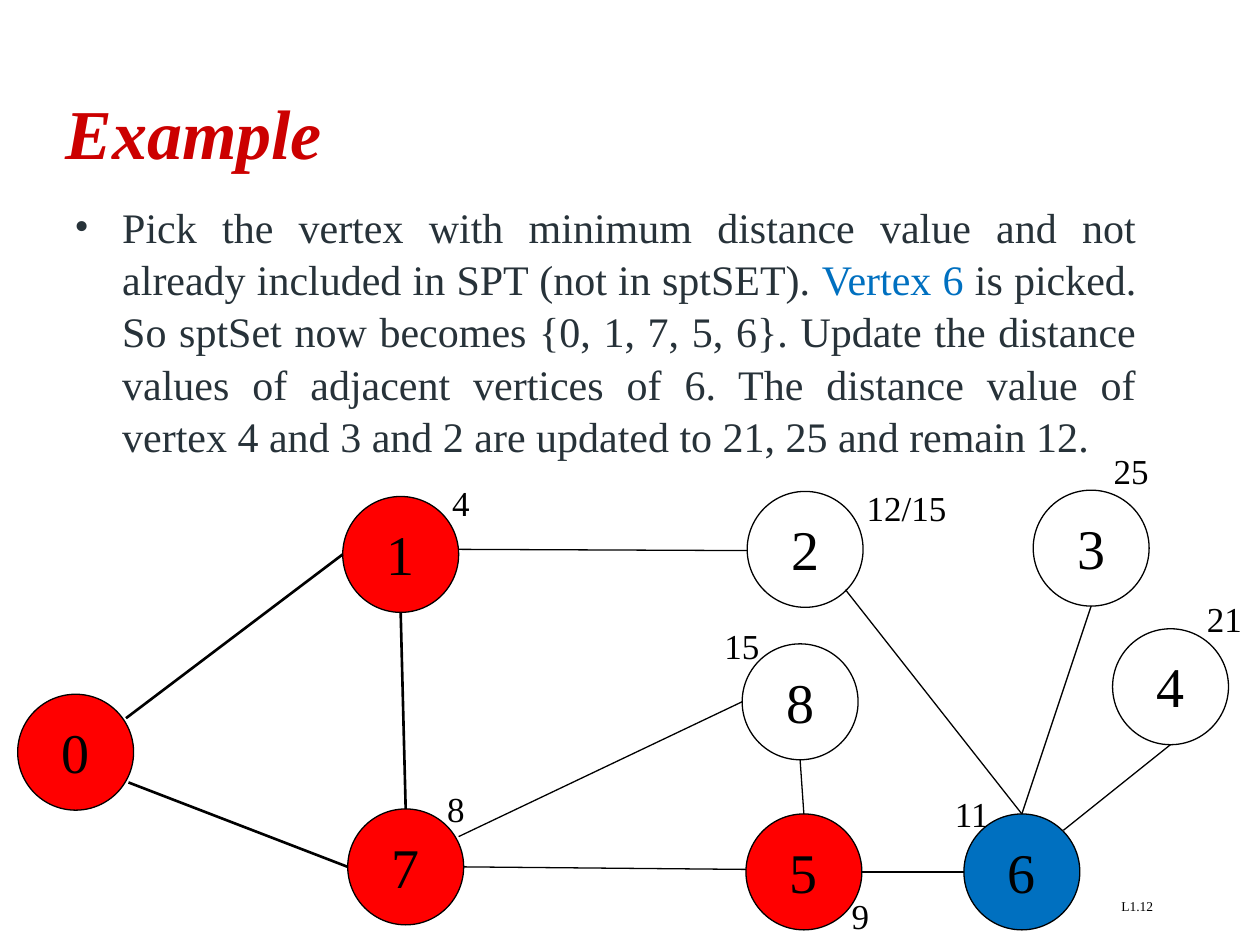
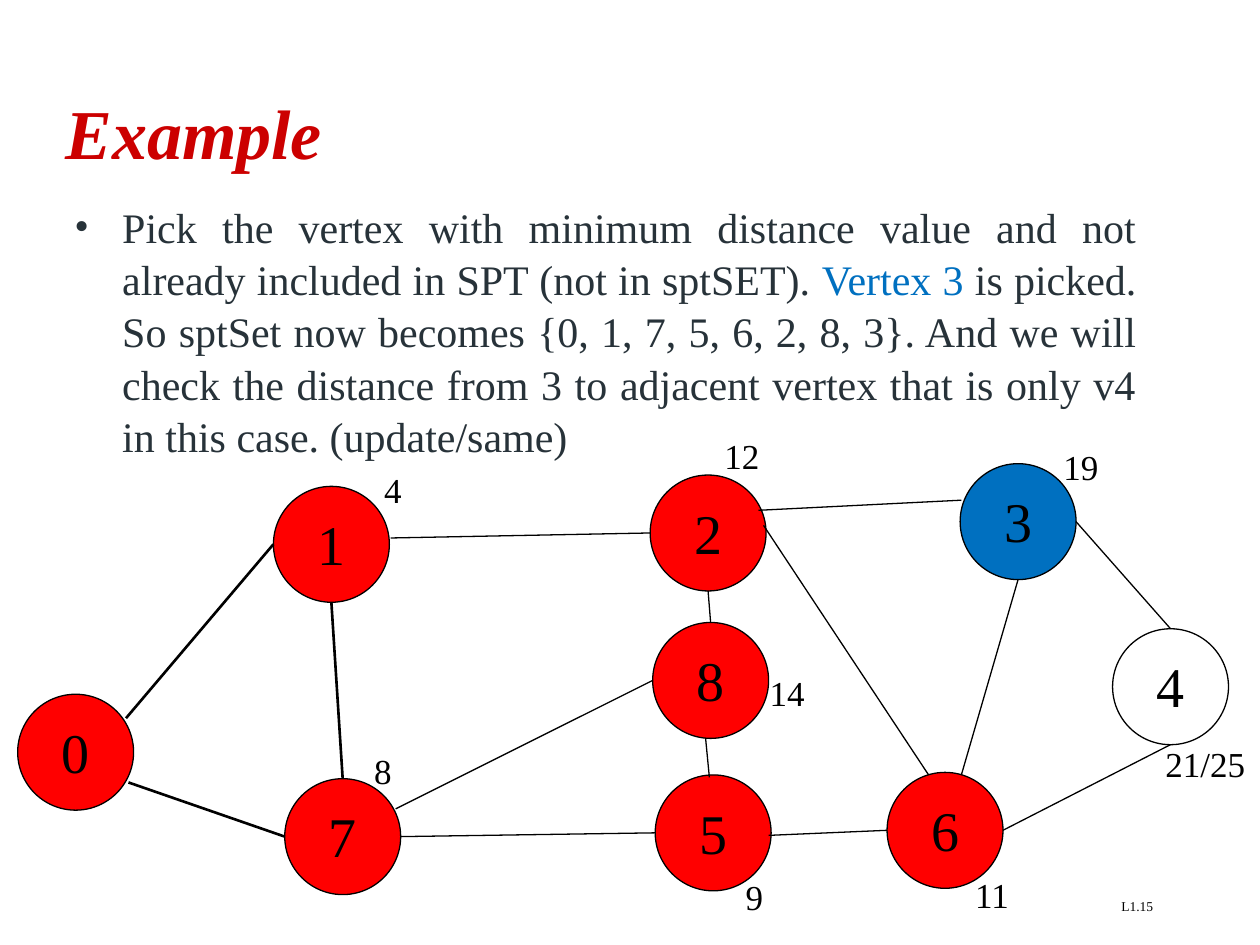
from dataclasses import dataclass

from lxml.etree import SubElement
from pptx import Presentation
from pptx.dml.color import RGBColor
from pptx.enum.shapes import MSO_CONNECTOR, MSO_SHAPE
from pptx.enum.text import MSO_ANCHOR as ANCHOR, MSO_AUTO_SIZE as AUTO_SIZE, PP_ALIGN as ALIGN
from pptx.oxml.ns import qn
from pptx.util import Pt

PX = 9144  # EMU per px, 100 px to the inch
FONT = "Times New Roman"

BLACK = RGBColor(0x00, 0x00, 0x00)
TITLE_RED = RGBColor(0xCC, 0x00, 0x00)
BODY_GREY = RGBColor(0x27, 0x32, 0x39)
PICKED = RGBColor(0x00, 0x70, 0xC0)
INCLUDED = RGBColor(0xFF, 0x00, 0x00)

TITLE_BOX = (42, 42, 933, 125)
BODY_BOX = (49, 153, 863, 210)
FOOTER_BOX = (717, 708, 208, 25)

# Points on a vertex, measured from the corner of its square
DIAMETER = 92
TOP, BOTTOM, LEFT, RIGHT = (46, 0), (46, 92), (0, 46), (92, 46)

LABEL_WIDTHS = {1: 38, 2: 49, 5: 85}  # by number of characters
LABEL_HEIGHT = 44

INTRO = ("Pick the vertex with minimum distance value and not already included "
         "in SPT (not in sptSET). ")


@dataclass
class Step:
    """One step of the algorithm; edges are (vertex, point, vertex, point)."""
    number: str
    picked: int
    included: set
    outcome: str
    corners: dict
    labels: dict
    edges: list


SOURCE_EDGES = [
    (0, (86, 19), 1, LEFT),
    (0, (88, 70), 7, LEFT),
    (1, BOTTOM, 7, TOP),
]

STEPS = [
    Step(
        number="L1.12",
        picked=6,
        included={0, 1, 5, 7},
        outcome="is picked. So sptSet now becomes {0, 1, 7, 5, 6}. Update the distance "
                "values of adjacent vertices of 6. The distance value of vertex 4 and 3 "
                "and 2 are updated to 21, 25 and remain 12.",
        corners={0: (14, 551), 1: (272, 394), 2: (593, 390), 3: (820, 389), 4: (883, 499),
                 5: (592, 646), 6: (765, 646), 7: (276, 642), 8: (589, 511)},
        labels={1: ("4", 77, -17), 2: ("12/15", 85, -9), 3: ("25", 54, -37),
                4: ("21", 65, -30), 5: ("9", 74, 59), 6: ("11", -17, -22),
                7: ("8", 69, -22), 8: ("15", -24, -20)},
        edges=[(1, (92, 42), 2, (0, 47)), (7, RIGHT, 5, (0, 44)), (7, (88, 22), 8, LEFT),
               (5, RIGHT, 6, LEFT), (5, TOP, 8, BOTTOM), (6, (79, 13), 4, BOTTOM),
               (6, TOP, 3, BOTTOM), (6, TOP, 2, (78, 78))],
    ),
    Step(
        number="L1.15",
        picked=3,
        included={0, 1, 2, 5, 6, 7, 8},
        outcome="is picked. So sptSet now becomes {0, 1, 7, 5, 6, 2, 8, 3}. And we will "
                "check the distance from 3 to adjacent vertex that is only v4 in this "
                "case. (update/same)",
        corners={0: (14, 551), 1: (217, 386), 2: (516, 377), 3: (762, 368), 4: (883, 499),
                 5: (520, 615), 6: (704, 613), 7: (226, 618), 8: (518, 494)},
        labels={1: ("4", 78, -19), 2: ("12", 49, -37), 3: ("19", 72, -19),
                4: ("21/25", 32, 85), 5: ("9", 62, 75), 6: ("11", 60, 75),
                7: ("8", 61, -28), 8: ("14", 83, 34)},
        edges=[(1, (93, 41), 2, LEFT), (7, RIGHT, 5, LEFT), (7, (88, 24), 8, LEFT),
               (5, (90, 48), 6, LEFT), (5, (43, 2), 8, (42, 92)), (6, RIGHT, 4, BOTTOM),
               (6, (59, 2), 3, BOTTOM), (6, (33, 2), 2, (90, 40)), (2, (86, 28), 3, (1, 29)),
               (2, BOTTOM, 8, TOP), (3, RIGHT, 4, TOP)],
    ),
]


def emu(lengths):
    return [length * PX for length in lengths]


def place(shape, box):
    shape.left, shape.top, shape.width, shape.height = emu(box)


def add_span(para, text, size, color=BLACK, bold=False, italic=False):
    span = para.add_run()
    span.text = text
    font = span.font
    font.name, font.size, font.bold, font.italic = FONT, Pt(size), bold, italic
    font.color.rgb = color


def add_text(page, box, text, size, align=ALIGN.LEFT):
    frame = page.shapes.add_textbox(*emu(box)).text_frame
    frame.word_wrap = True
    para = frame.paragraphs[0]
    para.alignment = align
    add_span(para, text, size)


def add_bullet(para, indent, color):
    props = para._p.get_or_add_pPr()
    props.set("marL", str(indent * PX))
    props.set("indent", str(-indent * PX))
    SubElement(SubElement(props, qn("a:buClr")), qn("a:srgbClr"), val=str(color))
    SubElement(props, qn("a:buFont"), typeface=FONT)
    SubElement(props, qn("a:buChar"), char="•")


def fill_title(title, box):
    place(title, box)
    frame = title.text_frame
    frame.auto_size = AUTO_SIZE.NONE
    frame.vertical_anchor = ANCHOR.MIDDLE
    para = frame.paragraphs[0]
    para.alignment = ALIGN.LEFT
    add_span(para, "Example", 40, TITLE_RED, bold=True, italic=True)


def fill_body(body, box, step):
    place(body, box)
    frame = body.text_frame
    frame.auto_size = AUTO_SIZE.NONE
    para = frame.paragraphs[0]
    para.alignment = ALIGN.JUSTIFY
    para.line_spacing = 1.04
    para.space_before = Pt(6)
    add_bullet(para, 38, BODY_GREY)
    add_span(para, INTRO, 24, BODY_GREY)
    add_span(para, f"Vertex {step.picked} ", 24, PICKED)
    add_span(para, step.outcome, 24, BODY_GREY)


def add_vertex(page, corner, name, color):
    circle = page.shapes.add_shape(MSO_SHAPE.OVAL, *emu((*corner, DIAMETER, DIAMETER)))
    circle.shadow.inherit = False
    if color is None:
        circle.fill.background()
    else:
        circle.fill.solid()
        circle.fill.fore_color.rgb = color
    circle.line.color.rgb = BLACK
    circle.line.width = Pt(0.75)
    circle.text_frame.vertical_anchor = ANCHOR.TOP
    para = circle.text_frame.paragraphs[0]
    para.alignment = ALIGN.CENTER
    add_span(para, str(name), 32)


def add_edge(page, corners, edge, width):
    start, start_point, end, end_point = edge
    ends = [corner + shift
            for vertex, point in ((start, start_point), (end, end_point))
            for corner, shift in zip(corners[vertex], point)]
    line = page.shapes.add_connector(MSO_CONNECTOR.STRAIGHT, *emu(ends))
    line.line.color.rgb = BLACK
    line.line.width = Pt(width)
    SubElement(line._element.spPr, qn("a:effectLst"))


def add_graph(page, step):
    for vertex, corner in step.corners.items():
        color = INCLUDED if vertex in step.included else None
        add_vertex(page, corner, vertex, PICKED if vertex == step.picked else color)
    for edges, width in ((SOURCE_EDGES, 1.5), (step.edges, 0.75)):
        for edge in edges:
            add_edge(page, step.corners, edge, width)
    for vertex, (distance, right, down) in step.labels.items():
        left, top = step.corners[vertex]
        box = (left + right, top + down, LABEL_WIDTHS[len(distance)], LABEL_HEIGHT)
        add_text(page, box, distance, 20)


def add_step_page(deck, step):
    page = deck.slides.add_slide(deck.slide_layouts[1])
    fill_title(page.shapes.title, TITLE_BOX)
    fill_body(page.placeholders[1], BODY_BOX, step)
    add_text(page, FOOTER_BOX, step.number, 7.7, ALIGN.RIGHT)
    add_graph(page, step)


def main():
    deck = Presentation()
    deck.slide_width, deck.slide_height = emu((1000, 750))
    for step in STEPS:
        add_step_page(deck, step)
    deck.save("out.pptx")


if __name__ == "__main__":
    main()
